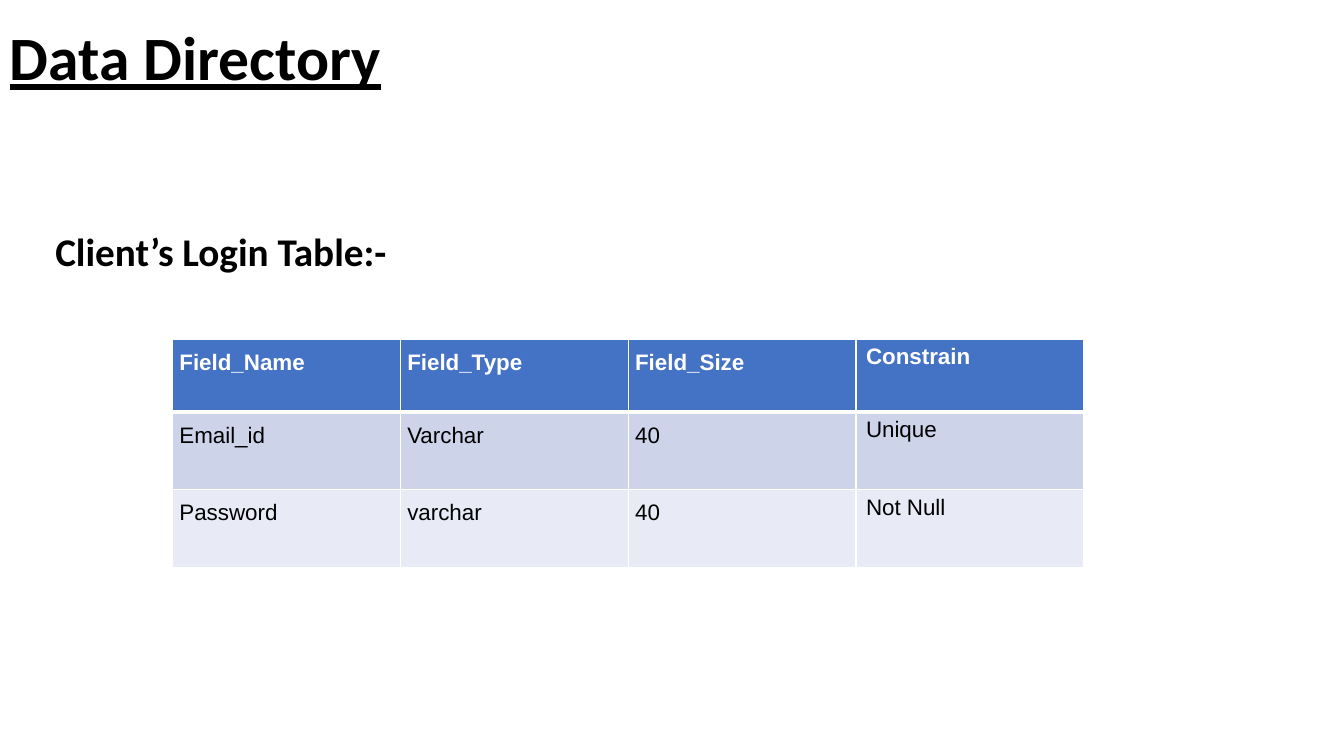
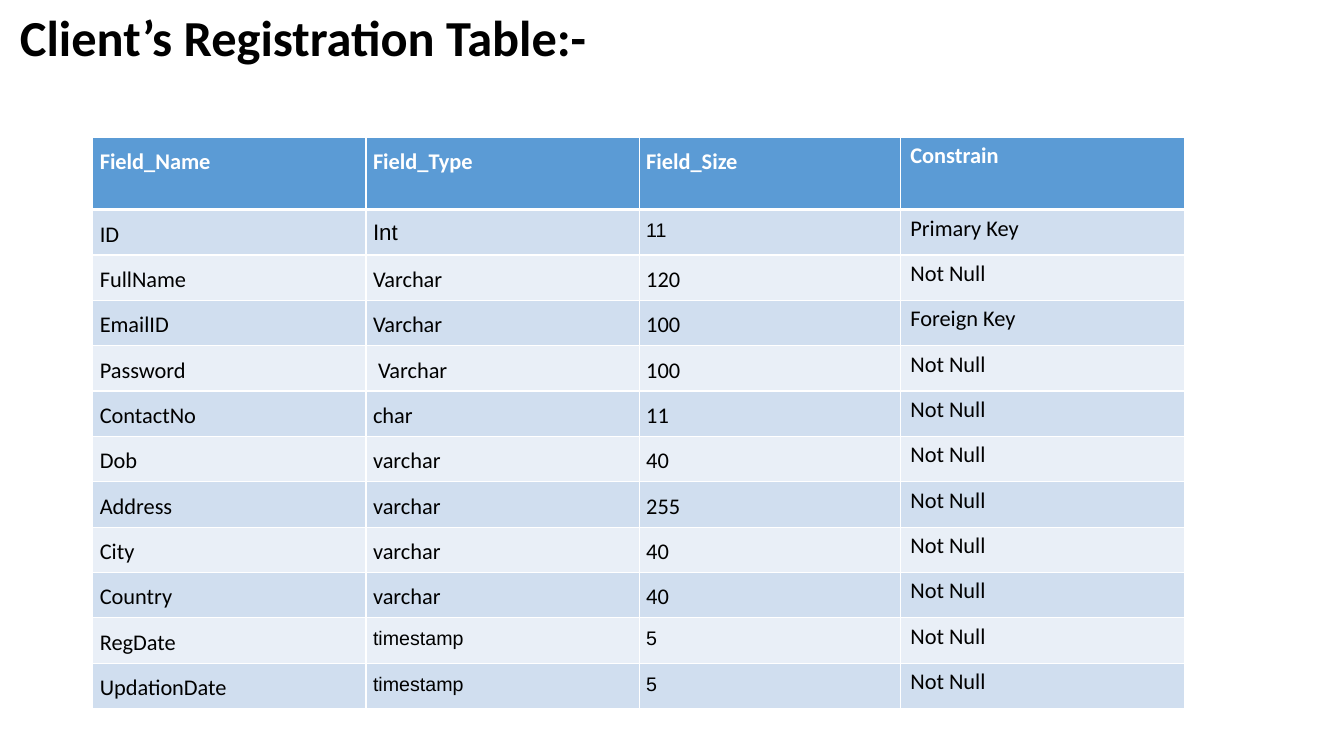
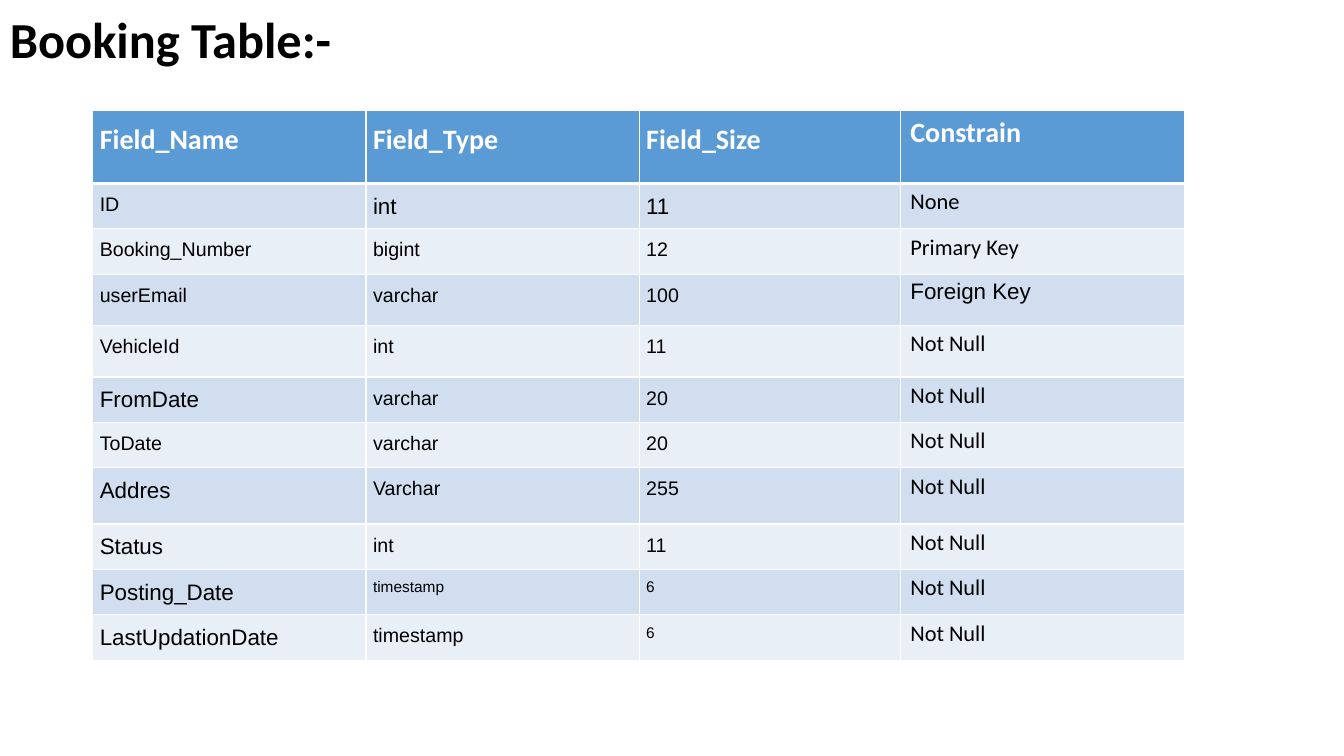
import pptx
import pptx.dml.color
import pptx.enum.text
import pptx.oxml
import pptx.oxml.ns
import pptx.util

RGB = pptx.dml.color.RGBColor
MID = pptx.enum.text.MSO_ANCHOR.MIDDLE
TOP = pptx.enum.text.MSO_ANCHOR.TOP
PX = 9144

BLACK = RGB(0x00, 0x00, 0x00)
WHITE = RGB(0xFF, 0xFF, 0xFF)
INDIGO = (RGB(0x44, 0x72, 0xC4), RGB(0xCD, 0xD4, 0xEA), RGB(0xE8, 0xEB, 0xF5))
BLUE = (RGB(0x5B, 0x9B, 0xD5), RGB(0xD0, 0xDE, 0xEF), RGB(0xE9, 0xEF, 0xF7))

ARIAL = ("Arial", 16)
SMALL = ("Arial", 14)
TINY = ("Arial", 11)
BODY = ("Calibri", 16)
LARGE = ("Calibri", 20)

HEADS = ["Field_Name", "Field_Type", "Field_Size", "Constrain"]
WIDE = [271, 271, 259, 282]

LOGIN = [
    ["Email_id", "Varchar", "40", "Unique"],
    ["Password", "varchar", "40", "Not Null"],
]
CLIENT = [
    ["ID", "Int", "11", "Primary Key"],
    ["FullName", "Varchar", "120", "Not Null"],
    ["EmailID", "Varchar", "100", "Foreign Key"],
    ["Password", " Varchar", "100", "Not Null"],
    ["ContactNo", "char", "11", "Not Null"],
    ["Dob", "varchar", "40", "Not Null"],
    ["Address", "varchar", "255", "Not Null"],
    ["City", "varchar", "40", "Not Null"],
    ["Country", "varchar", "40", "Not Null"],
    ["RegDate", "timestamp", "5", "Not Null"],
    ["UpdationDate", "timestamp", "5", "Not Null"],
]
BOOKING = [
    ["ID", "int", "11", "None"],
    ["Booking_Number", "bigint", "12", "Primary Key"],
    ["userEmail", "varchar", "100", "Foreign Key"],
    ["VehicleId", "int", "11", "Not Null"],
    ["FromDate", "varchar", "20", "Not Null"],
    ["ToDate", "varchar", "20", "Not Null"],
    ["Addres", "Varchar", "255", "Not Null"],
    ["Status", "int", "11", "Not Null"],
    ["Posting_Date", "timestamp", "6", "Not Null"],
    ["LastUpdationDate", "timestamp", "6", "Not Null"],
]
CLIENT_ODD = {(1, 1): ARIAL, (1, 2): SMALL,
              (10, 1): SMALL, (10, 2): SMALL, (11, 1): SMALL, (11, 2): SMALL}
BOOKING_ODD = {(1, 1): ARIAL, (1, 2): ARIAL, (3, 3): ARIAL,
               (5, 0): ARIAL, (7, 0): ARIAL, (8, 0): ARIAL,
               (9, 0): ARIAL, (9, 1): TINY, (9, 2): TINY,
               (10, 0): ARIAL, (10, 2): TINY}


def add_run(para, text, style, color, bold=False, under=False):
    """Add one styled run to a paragraph."""
    run = para.add_run()
    run.text = text
    font = run.font
    font.name, size = style
    font.size = pptx.util.Pt(size)
    font.color.rgb = color
    font.bold = bold
    font.underline = under


def add_head(slide, text, box, size, space=0.9, anchor=MID, under=False):
    """Add a bold heading in a text box."""
    frame = slide.shapes.add_textbox(*(v * PX for v in box)).text_frame
    frame.word_wrap = True
    frame.vertical_anchor = anchor
    para = frame.paragraphs[0]
    para.line_spacing = space
    add_run(para, text, ("Calibri", size), BLACK, True, under)


def set_edges(cell, widths):
    """Draw white cell borders; widths are points by side."""
    props = cell._tc.get_or_add_tcPr()
    for side, width in widths.items():
        props.append(pptx.oxml.parse_xml(
            f'<a:ln{side} {pptx.oxml.ns.nsdecls("a")} w="{width * 12700}">'
            f'<a:solidFill><a:srgbClr val="{WHITE}"/></a:solidFill></a:ln{side}>'))


def fill_cell(cell, text, style, row, last, tones):
    """Write and colour one cell by its row and column."""
    head = row == 0
    set_edges(cell, {"L": 1, "R": 1, "T": 3 if row == 1 else 1, "B": 3 if head else 1})
    cell.fill.solid()
    cell.fill.fore_color.rgb = tones[0] if head else tones[2 - row % 2]
    cell.margin_left = cell.margin_right = (10 if last else 7) * PX
    cell.margin_top = cell.margin_bottom = (5 if last else 7) * PX
    para = cell.text_frame.paragraphs[0]
    if not last:
        para.line_spacing = 1.15
    add_run(para, text, style, WHITE if head else BLACK, head)


def add_grid(slide, spot, cols, highs, body, tones, head, styles, odd):
    """Add a field table; odd holds the styles of single cells."""
    rows = [HEADS] + body
    left, top = spot
    table = slide.shapes.add_table(
        len(rows), len(cols), left * PX, top * PX, sum(cols) * PX, sum(highs) * PX).table
    for col, width in zip(table.columns, cols):
        col.width = width * PX
    for r, (texts, high) in enumerate(zip(rows, highs)):
        table.rows[r].height = high * PX
        for c, text in enumerate(texts):
            style = head if r == 0 else odd.get((r, c), styles[c])
            fill_cell(table.cell(r, c), text, style, r, c == len(cols) - 1, tones)


def main():
    """Build and save the three slides."""
    deck = pptx.Presentation()
    deck.slide_width, deck.slide_height = 1333 * PX, 750 * PX
    login, client, booking = (deck.slides.add_slide(deck.slide_layouts[6]) for _ in range(3))

    add_head(login, "Data Directory", (0, 0, 1150, 121), 44, under=True)
    add_head(login, "Client’s Login Table:-", (45, 214, 667, 61), 28, 1.15, TOP)
    add_grid(login, (171, 337), [226] * 4, [72, 77, 77], LOGIN, INDIGO,
             ARIAL, [ARIAL] * 4, {})

    add_head(client, "Client’s Registration Table:-", (10, -16, 1150, 111), 36)
    add_grid(client, (92, 136), WIDE, [72] + [45] * 11, CLIENT, BLUE,
             BODY, [BODY] * 4, CLIENT_ODD)

    add_head(booking, "Booking Table:-", (0, -14, 1150, 111), 36)
    add_grid(booking, (92, 110), WIDE, [72, 45, 45, 51, 51, 45, 45, 56, 45, 45, 45],
             BOOKING, BLUE, LARGE, [SMALL] * 3 + [BODY], BOOKING_ODD)

    deck.save("out.pptx")


if __name__ == "__main__":
    main()
